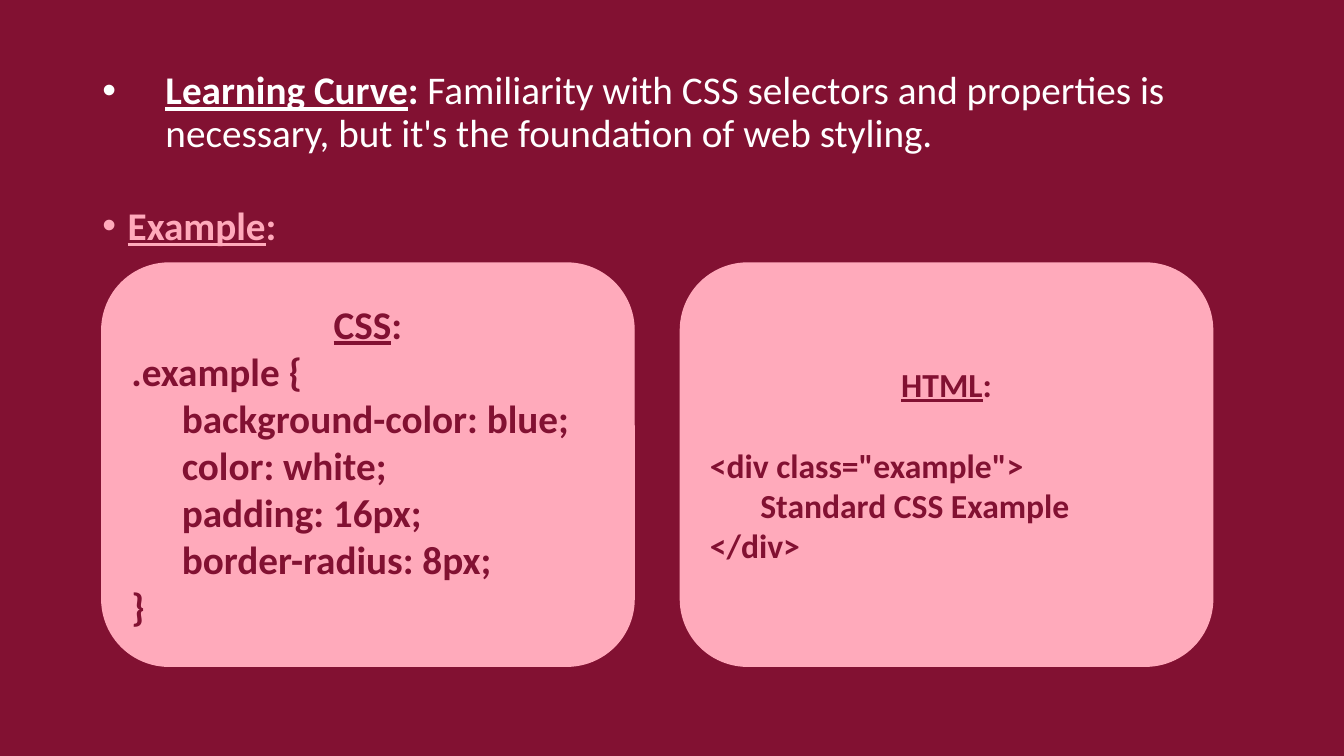
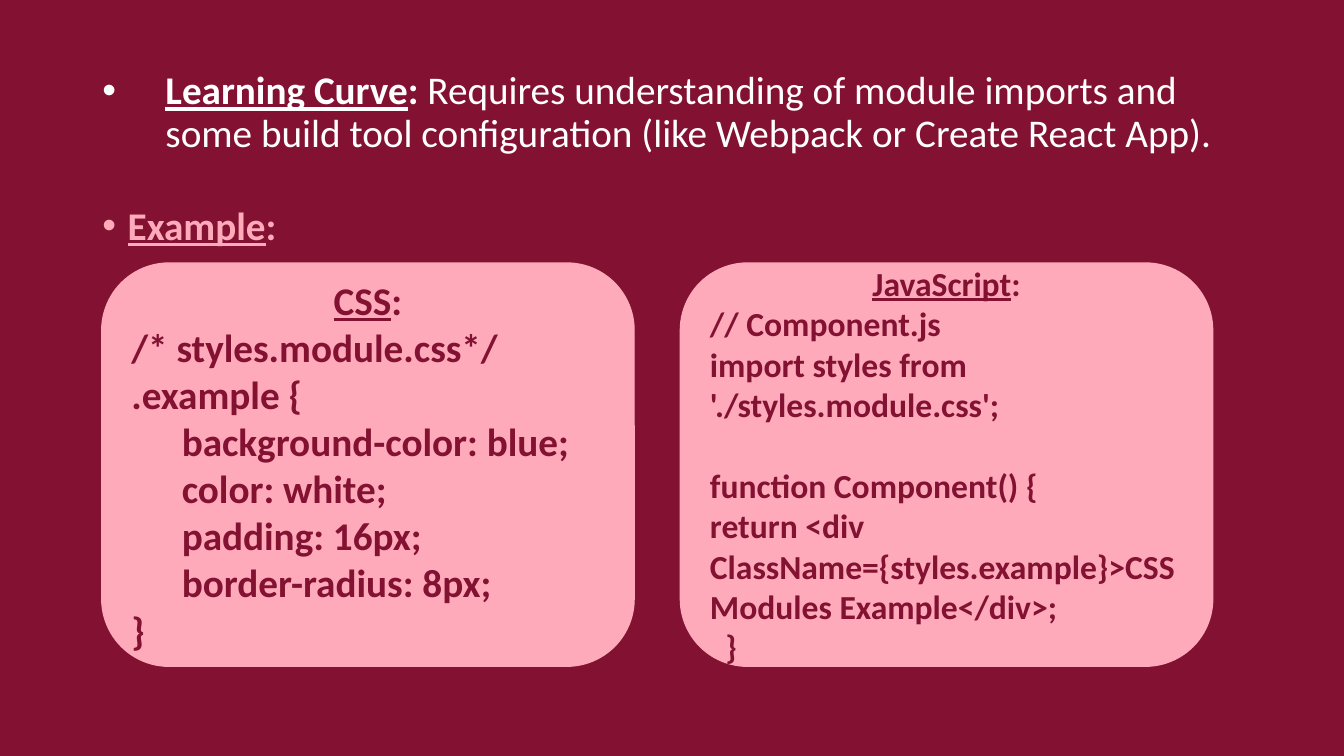
from dataclasses import dataclass

from lxml import etree
from pptx import Presentation
from pptx import util as u
from pptx.dml.color import RGBColor
from pptx.enum import shapes, text
from pptx.oxml.ns import qn


@dataclass(frozen=True)
class Theme:
    wine: RGBColor = RGBColor.from_string("821132")
    pink: RGBColor = RGBColor.from_string("FFAABB")
    white: RGBColor = RGBColor.from_string("FFFFFF")
    font: str = "Calibri"
    large: int = 28
    small: int = 24


theme = Theme()


def add_heading(para, label, ending, size, color):
    para.font.name = theme.font
    para.font.size = u.Pt(size)
    para.font.bold = True
    para.font.color.rgb = color
    span = para.add_run()
    span.text = label
    span.font.underline = True
    para.add_run().text = ending


def add_bullet(para, indent, color):
    para.alignment = text.PP_ALIGN.LEFT
    para.line_spacing = 0.9
    props = para._p.get_or_add_pPr()
    props.set("marL", str(u.Pt(indent)))
    props.set("indent", str(-u.Pt(indent)))
    tint = etree.Element(qn("a:buClr"))
    etree.SubElement(tint, qn("a:srgbClr"), val=str(color))
    face = etree.Element(qn("a:buFont"), typeface="Arial")
    mark = etree.Element(qn("a:buChar"), char="•")
    defaults = props.find(qn("a:defRPr"))
    for element in (tint, face, mark):
        defaults.addprevious(element)


STEP = 36
GAP = 29
RULE = [
    (".example {", 0, 0),
    ("background-color: blue;", STEP, 0),
    ("color: white;", STEP, 0),
    ("padding: 16px;", STEP, 0),
    ("border-radius: 8px;", STEP, 0),
    ("}", 0, 0),
]
HTML = [
    ('<div class="example">', 0, GAP),
    ("Standard CSS Example", STEP, 0),
    ("</div>", 0, 0),
]
SCRIPT = [
    ("// Component.js", 0, 0),
    ("import styles from './styles.module.css';", 0, 0),
    ("function Component() {", 0, GAP),
    ("return <div ClassName={styles.example}>CSS Modules Example</div>;", 0, 0),
    ("}", 11, 0),
]
PAGES = [
    (
        "Familiarity with CSS selectors and properties is necessary, "
        "but it's the foundation of web styling.",
        [("CSS", theme.large, RULE), ("HTML", theme.small, HTML)],
    ),
    (
        "Requires understanding of module imports and some build tool "
        "configuration (like Webpack or Create React App).",
        [
            ("CSS", theme.large, [("/* styles.module.css*/", 0, 0)] + RULE),
            ("JavaScript", theme.small, SCRIPT),
        ],
    ),
]
CARD_LEFT, CARD_TOP, CARD_WIDTH, CARD_HEIGHT = 72.7, 187.9, 380.2, 288
CARD_PITCH = 413.3

deck = Presentation()
deck.slide_width, deck.slide_height = u.Pt(960), u.Pt(540)
backdrop = deck.slide_master.background.fill
backdrop.solid()
backdrop.fore_color.rgb = theme.wine

for lesson, cards in PAGES:
    page = deck.slides.add_slide(deck.slide_layouts[1])
    title, body = page.shapes.title, page.placeholders[1]
    for box, place, anchor in (
        (title, (66, 28.8, 828, 104.4), text.MSO_ANCHOR.MIDDLE),
        (body, (66, 144, 408, 342.7), text.MSO_ANCHOR.TOP),
    ):
        box.left, box.top, box.width, box.height = map(u.Pt, place)
        box.text_frame.auto_size = text.MSO_AUTO_SIZE.NONE
        box.text_frame.vertical_anchor = anchor

    para = title.text_frame.paragraphs[0]
    add_heading(para, "Learning Curve", ": ", theme.large, theme.white)
    add_bullet(para, 45, theme.white)
    span = para.add_run()
    span.text = lesson
    span.font.bold = False

    para = body.text_frame.paragraphs[0]
    add_heading(para, "Example", ":", theme.large, theme.pink)
    add_bullet(para, 18, theme.pink)
    para.space_before = u.Pt(10)

    for column, (language, size, code) in enumerate(cards):
        card = page.shapes.add_shape(
            shapes.MSO_SHAPE.ROUNDED_RECTANGLE,
            u.Pt(CARD_LEFT + column * CARD_PITCH),
            u.Pt(CARD_TOP),
            u.Pt(CARD_WIDTH),
            u.Pt(CARD_HEIGHT),
        )
        card.shadow.inherit = False
        card.fill.solid()
        card.fill.fore_color.rgb = theme.pink
        card.line.color.rgb = theme.pink
        card.line.width = u.Pt(1)
        frame = card.text_frame
        frame.word_wrap = True
        frame.vertical_anchor = text.MSO_ANCHOR.MIDDLE
        para = frame.paragraphs[0]
        para.alignment = text.PP_ALIGN.CENTER
        add_heading(para, language, ":", size, theme.wine)
        for line, indent, gap in code:
            para = frame.add_paragraph()
            para.text = line
            para.alignment = text.PP_ALIGN.LEFT
            para.space_before = u.Pt(gap)
            para.font.name = theme.font
            para.font.size = u.Pt(size)
            para.font.bold = True
            para.font.color.rgb = theme.wine
            para._p.get_or_add_pPr().set("marL", str(u.Pt(indent)))

deck.save("out.pptx")
